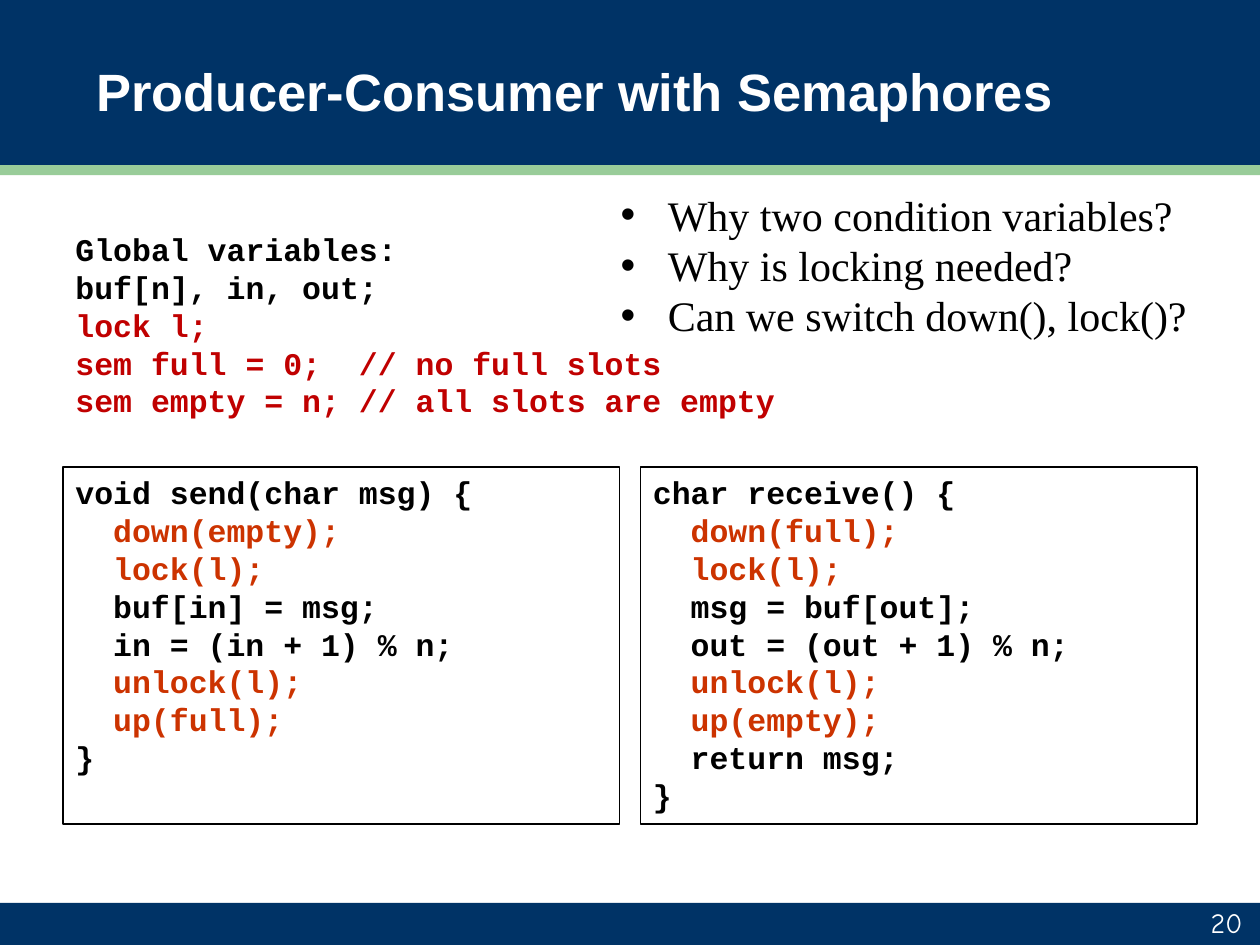
from dataclasses import dataclass

from lxml.etree import SubElement
from pptx import Presentation
from pptx.dml.color import RGBColor
from pptx.enum.shapes import MSO_SHAPE
from pptx.enum.text import MSO_ANCHOR, MSO_AUTO_SIZE, PP_ALIGN
from pptx.oxml.ns import qn
from pptx.util import Pt

NAVY = RGBColor(0x00, 0x33, 0x66)
GREEN = RGBColor(0x99, 0xCC, 0x99)
WHITE = RGBColor(0xFF, 0xFF, 0xFF)
BLACK = RGBColor(0x00, 0x00, 0x00)
RED = RGBColor(0xC0, 0x00, 0x00)
ORANGE = RGBColor(0xCC, 0x33, 0x00)

SLIDE_WIDTH, SLIDE_HEIGHT = 720, 540


@dataclass(frozen=True)
class Box:
    left: float
    top: float
    width: float
    height: float

    def points(self) -> tuple:
        return Pt(self.left), Pt(self.top), Pt(self.width), Pt(self.height)


@dataclass(frozen=True)
class Style:
    font: str
    size: float
    bold: bool = False


@dataclass(frozen=True)
class Line:
    text: str
    color: RGBColor = BLACK


TITLE = Style("Arial", 30, True)
CODE = Style("Courier New", 18, True)
QUESTION = Style("Times New Roman", 24)
NUMBER = Style("Comic Neue", 16)

BANDS = [
    (Box(0, 0, SLIDE_WIDTH, 100), NAVY),
    (Box(0, 94.3, SLIDE_WIDTH, 5.8), GREEN),
    (Box(0, 516, SLIDE_WIDTH, 24), NAVY),
]

GLOBALS = [
    Line("Global variables:"),
    Line("buf[n], in, out;"),
    Line("lock l;", RED),
    Line("sem full = 0;  // no full slots", RED),
    Line("sem empty = n; // all slots are empty", RED),
]

SEND = [
    Line("void send(char msg) {"),
    Line("  down(empty);", ORANGE),
    Line("  lock(l);", ORANGE),
    Line("  buf[in] = msg;"),
    Line("  in = (in + 1) % n;"),
    Line("  unlock(l);", ORANGE),
    Line("  up(full);", ORANGE),
    Line("}"),
]

RECEIVE = [
    Line("char receive() {"),
    Line("  down(full);", ORANGE),
    Line("  lock(l);", ORANGE),
    Line("  msg = buf[out];"),
    Line("  out = (out + 1) % n;"),
    Line("  unlock(l);", ORANGE),
    Line("  up(empty);", ORANGE),
    Line("  return msg;"),
    Line("}"),
]

QUESTIONS = [
    Line("Why two condition variables?"),
    Line("Why is locking needed?"),
    Line("Can we switch down(), lock()?"),
]


def write_lines(shape, lines: list[Line], style: Style, align=PP_ALIGN.LEFT,
                anchor=MSO_ANCHOR.TOP, hanging: float = 0, bullet: str = "") -> None:
    frame = shape.text_frame
    frame.word_wrap = True
    frame.auto_size = MSO_AUTO_SIZE.NONE
    frame.vertical_anchor = anchor
    for index, line in enumerate(lines):
        paragraph = frame.add_paragraph() if index else frame.paragraphs[0]
        paragraph.alignment = align
        if hanging:
            properties = paragraph._p.get_or_add_pPr()
            properties.set("marL", str(Pt(hanging)))
            properties.set("indent", str(-Pt(hanging)))
            if bullet:
                SubElement(properties, qn("a:buFont"), typeface="Arial")
                SubElement(properties, qn("a:buChar"), char=bullet)
        run = paragraph.add_run()
        run.text = line.text
        run.font.name = style.font
        run.font.size = Pt(style.size)
        run.font.bold = style.bold
        run.font.color.rgb = line.color


def add_band(slide, box: Box, color: RGBColor):
    band = slide.shapes.add_shape(MSO_SHAPE.RECTANGLE, *box.points())
    band.shadow.inherit = False
    band.fill.solid()
    band.fill.fore_color.rgb = color
    band.line.fill.background()
    return band


def add_code_box(slide, box: Box, lines: list[Line]) -> None:
    shape = slide.shapes.add_shape(MSO_SHAPE.RECTANGLE, *box.points())
    shape.shadow.inherit = False
    shape.fill.background()
    shape.line.color.rgb = BLACK
    shape.line.width = Pt(1)
    write_lines(shape, lines, CODE, hanging=36)


def add_text(slide, box: Box, lines: list[Line], style: Style, **layout) -> None:
    write_lines(slide.shapes.add_textbox(*box.points()), lines, style, **layout)


def main() -> None:
    presentation = Presentation()
    presentation.slide_width = Pt(SLIDE_WIDTH)
    presentation.slide_height = Pt(SLIDE_HEIGHT)
    slide = presentation.slides.add_slide(presentation.slide_layouts[5])

    # Header and footer bands, with the title in front of them
    bands = [add_band(slide, box, color) for box, color in BANDS]
    title = slide.shapes.title
    bands[-1]._element.addnext(title._element)
    title.left, title.top, title.width, title.height = Box(48, 4, 624, 96).points()
    write_lines(title, [Line("Producer-Consumer with Semaphores", WHITE)], TITLE,
                anchor=MSO_ANCHOR.MIDDLE)

    # Slide number
    add_text(slide, Box(567, 517, 150, 23), [Line("20", WHITE)], NUMBER,
             align=PP_ALIGN.RIGHT, anchor=MSO_ANCHOR.BOTTOM)

    # Sender and receiver code, side by side
    for column, lines in enumerate([SEND, RECEIVE]):
        add_code_box(slide, Box(36 + 330 * column, 267, 318, 204), lines)

    # Shared state and discussion questions
    add_text(slide, Box(36, 128, 430.5, 117), GLOBALS, CODE)
    add_text(slide, Box(347.5, 104.5, 370, 94.5), QUESTIONS, QUESTION,
             hanging=27, bullet="•")

    presentation.save("out.pptx")


if __name__ == "__main__":
    main()
